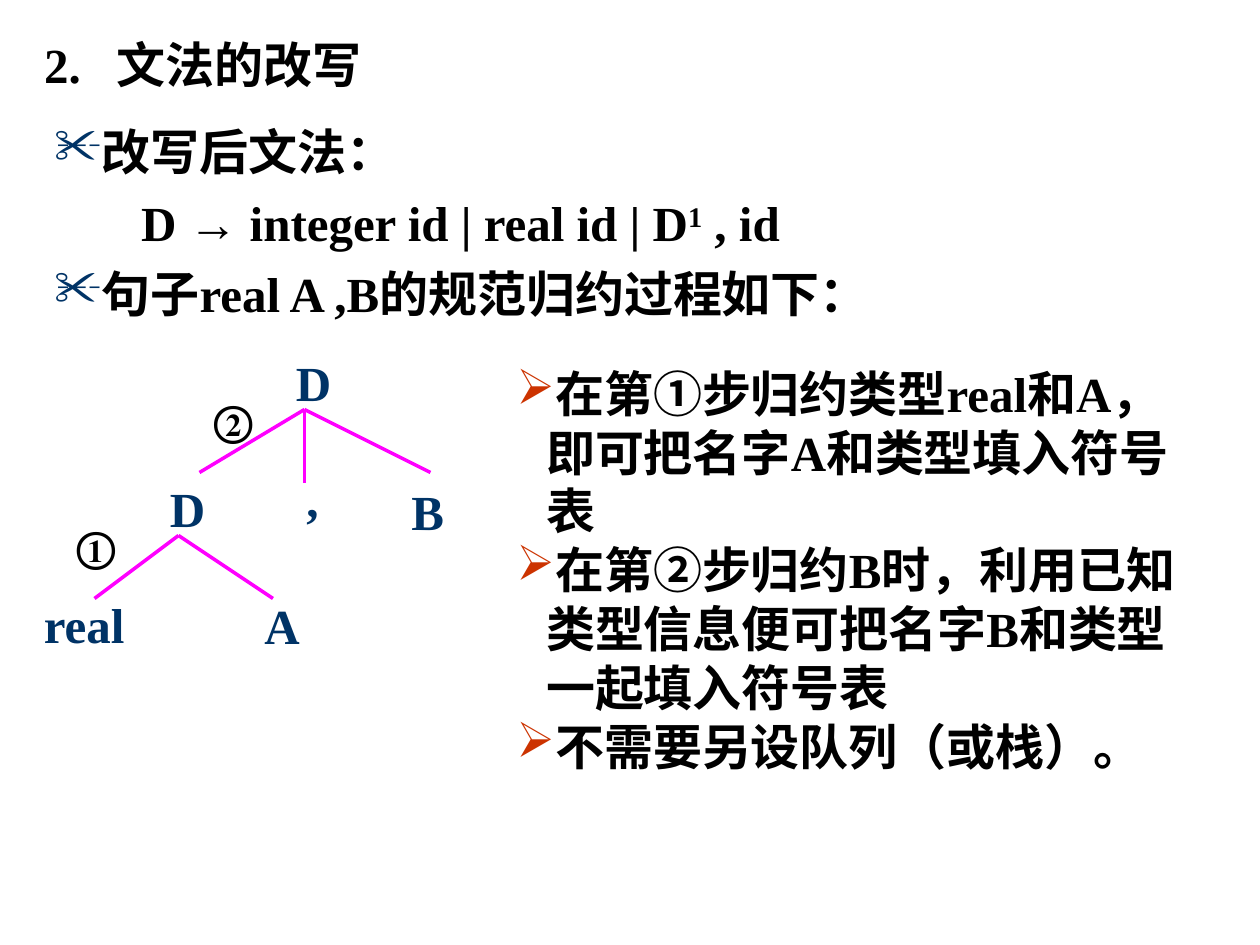
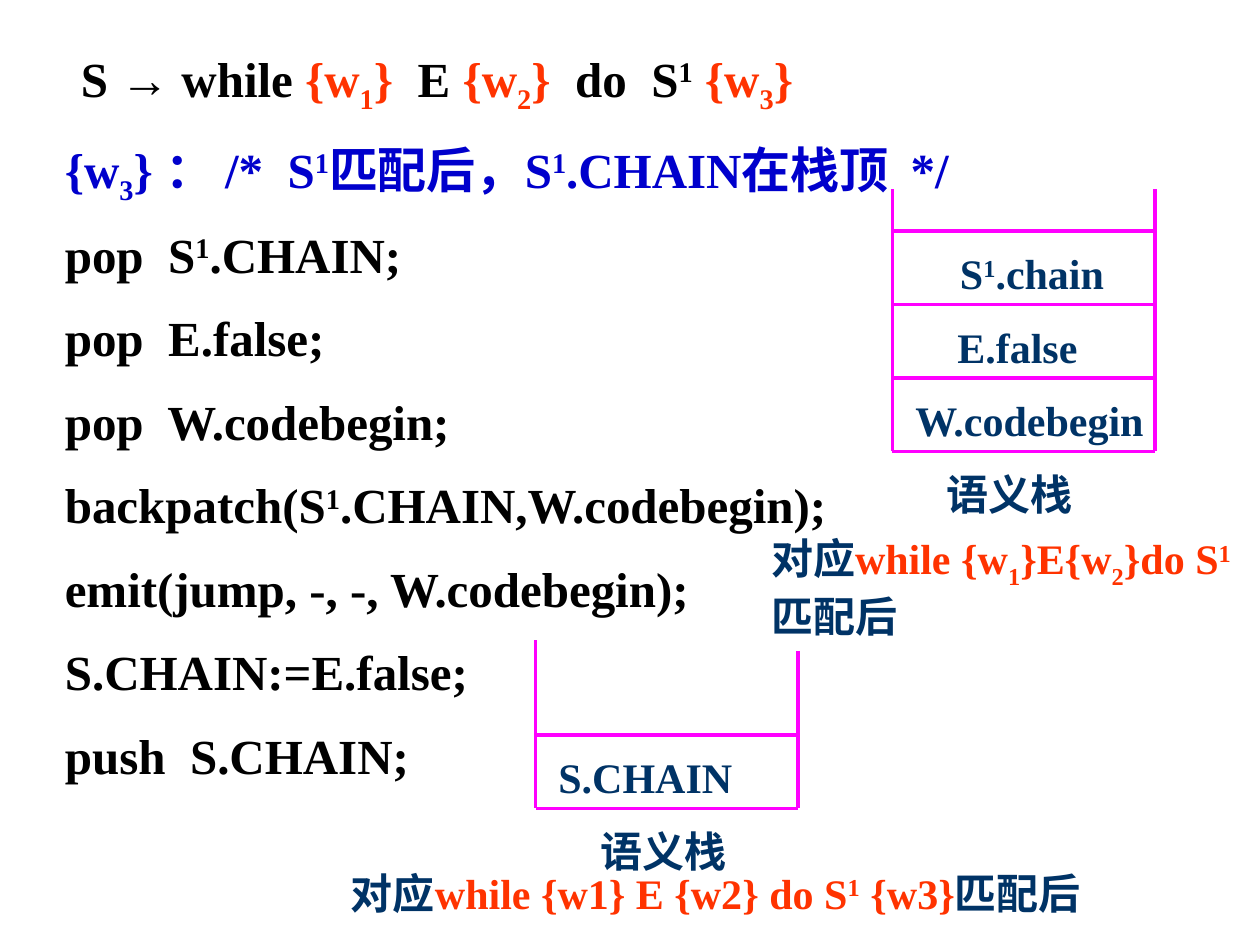
from pptx import Presentation
from pptx.dml.color import RGBColor
from pptx.enum.shapes import MSO_CONNECTOR
from pptx.enum.text import MSO_ANCHOR, MSO_AUTO_SIZE, PP_ALIGN
from pptx.oxml.ns import qn
from pptx.util import Pt
from lxml.etree import SubElement

FONT = "Times New Roman"
HUE = {"ink": "000000", "navy": "003366", "pink": "FF00FF",
       "rust": "CC3300", "red": "FF3300", "blue": "0000CC"}

# Content: a line is a list of (colour, text); ^ raises and _ lowers the next character
HEAD = [("ink", "2.\t文法的改写")]
RULES = [("✂", "改写后文法："),
         (None, "D → integer id | real id | D^1 , id"),
         ("✂", "句子real A ,B的规范归约过程如下：")]
NOTES = ["在第①步归约类型real和A，即可把名字A和类型填入符号表",
         "在第②步归约B时，利用已知类型信息便可把名字B和类型一起填入符号表",
         "不需要另设队列（或栈）。"]
NODES = [("D", 162, 198), ("D", 90, 270), (",", 168, 264),
         ("B", 228, 271.5), ("real", 18, 336), ("A", 144, 337)]
TREE = {(174, 234): [(114, 270), (174, 276), (246, 270)],
        (102, 306): [(54, 342), (156, 342)]}
STEPS = [("①", 36.5, 294), ("②", 115, 222)]

LOOP = [("ink", "S → while "), ("red", "{w_1}"), ("ink", "  E "),
        ("red", "{w_2}"), ("ink", "  do  S^1 "), ("red", "{w_3}")]
CODE = [[("blue", "{w_3} ： /*  S^1匹配后，S^1.CHAIN在栈顶  */")]]
CODE += [[("ink", line)] for line in (
    "pop  S^1.CHAIN;", "pop  E.false;", "pop  W.codebegin;",
    "backpatch(S^1.CHAIN,W.codebegin);", "emit(jump, -, -, W.codebegin);",
    "S.CHAIN:=E.false;", "push  S.CHAIN;")]
# Stack items run from the bottom up, each with its inset from the left wall
STACKS = [
    dict(left=510, base=258, tops=(108, 108), name=24,
         items=[("W.codebegin", 6), ("E.false", 30), ("S^1.chain", 31.5)]),
    dict(left=306, base=462, tops=(366, 372), name=30,
         items=[("S.CHAIN", 6)])]
AFTER = [
    (433.5, 301, 286.5, [
        [("navy", "对应"), ("red", "while {w_1}E{w_2}do S^1")],
        [("navy", "匹配后")]]),
    (193.5, 492, 460, [
        [("navy", "对应"), ("red", "while {w1} E {w2} do S^1 {w3}"),
         ("navy", "匹配后")]])]
WIDE, SLOT = 150, 42


# Text helpers
def split(text):
    """Yield (text, baseline) parts of a marked-up string."""
    part, shift = "", {"^": "30000", "_": "-25000"}
    chars = iter(text)
    for char in chars:
        if char in shift:
            yield part, None
            yield next(chars), shift[char]
            part = ""
        else:
            part += char
    if part:
        yield part, None


def write(para, line, size):
    for hue, text in line:
        for part, base in split(text):
            run = para.add_run()
            run.text = part
            font = run.font
            font.name, font.size, font.bold = FONT, Pt(size), True
            font.color.rgb = RGBColor.from_string(HUE[hue])
            if base:
                font._element.set("baseline", base)


def indent(para, left, first=0, mark=None, hue=None):
    props = para._p.get_or_add_pPr()
    props.set("marL", str(Pt(left)))
    props.set("indent", str(Pt(first)))
    if mark:
        tint = SubElement(props, qn("a:buClr"))
        SubElement(tint, qn("a:srgbClr"), val=HUE[hue])
        SubElement(props, qn("a:buChar"), char=mark)


def label(slide, x, y, w, h, lines, size, gap=0, lead=None):
    box = slide.shapes.add_textbox(Pt(x), Pt(y), Pt(w), Pt(h))
    frame = box.text_frame
    frame.word_wrap = True
    for i, line in enumerate(lines):
        para = frame.add_paragraph() if i else frame.paragraphs[0]
        write(para, line, size)
        if i and gap:
            para.space_before = Pt(gap)
        if lead:
            para.line_spacing = lead
    return frame.paragraphs


def title(slide, x, y, w, h, line, anchor, lead):
    shape = slide.shapes.title
    shape.left, shape.top, shape.width, shape.height = map(Pt, (x, y, w, h))
    frame = shape.text_frame
    frame.auto_size = MSO_AUTO_SIZE.NONE
    frame.vertical_anchor = anchor
    para = frame.paragraphs[0]
    para.alignment, para.line_spacing = PP_ALIGN.LEFT, lead
    tabs = SubElement(para._p.get_or_add_pPr(), qn("a:tabLst"))
    SubElement(tabs, qn("a:tab"), pos=str(Pt(41.5)), algn="l")
    write(para, line, 28)


def stroke(slide, start, end):
    line = slide.shapes.add_connector(
        MSO_CONNECTOR.STRAIGHT, *map(Pt, (*start, *end)))
    line.line.color.rgb = RGBColor.from_string(HUE["pink"])
    line.line.width = Pt(2)
    SubElement(line._element.spPr, qn("a:effectLst"))


def stack(slide, left, base, tops, name, items):
    for x, top in zip((left, left + WIDE), tops):
        stroke(slide, (x, top), (x, base))
    for i in range(len(items) + 1):
        y = base - SLOT * i
        stroke(slide, (left, y), (left + WIDE, y))
    for i, (text, inset) in enumerate(items, 1):
        label(slide, left + inset, base - SLOT * i + 6, WIDE, 36,
              [[("navy", text)]], 24)
    label(slide, left + name, base + 6, 108, 36, [[("navy", "语义栈")]], 24)


# Slides
def grammar(slide):
    title(slide, 18, 18, 300, 42, HEAD, MSO_ANCHOR.MIDDLE, 0.85)
    paras = label(slide, 24, 66, 666, 126,
                  [[("ink", text)] for _, text in RULES], 28, gap=7)
    for para, (mark, _) in zip(paras, RULES):
        para.alignment = PP_ALIGN.JUSTIFY
        if mark:
            indent(para, 27, -27, mark, "navy")
        else:
            indent(para, 49.5)
    for start, ends in TREE.items():
        for end in ends:
            stroke(slide, start, end)
    for text, x, y in NODES:
        label(slide, x, y, 66, 41, [[("navy", text)]], 28)
    for text, x, y in STEPS:
        label(slide, x, y, 48, 36, [[("ink", text)]], 24)
    for para in label(slide, 288, 204, 402, 243,
                      [[("ink", text)] for text in NOTES], 28):
        indent(para, 17, -17, "➢", "rust")


def loop(slide):
    title(slide, 39, 24, 450, 45, LOOP, MSO_ANCHOR.TOP, 1)
    label(slide, 30, 76.5, 612, 376, CODE, 28, gap=17.5, lead=0.9)
    for item in STACKS:
        stack(slide, **item)
    for x, y, w, lines in AFTER:
        label(slide, x, y, w, 36 * len(lines), lines, 24)


def main():
    deck = Presentation()
    deck.slide_width, deck.slide_height = Pt(720), Pt(540)
    for build in (grammar, loop):
        build(deck.slides.add_slide(deck.slide_layouts[5]))
    deck.save("out.pptx")


if __name__ == "__main__":
    main()
